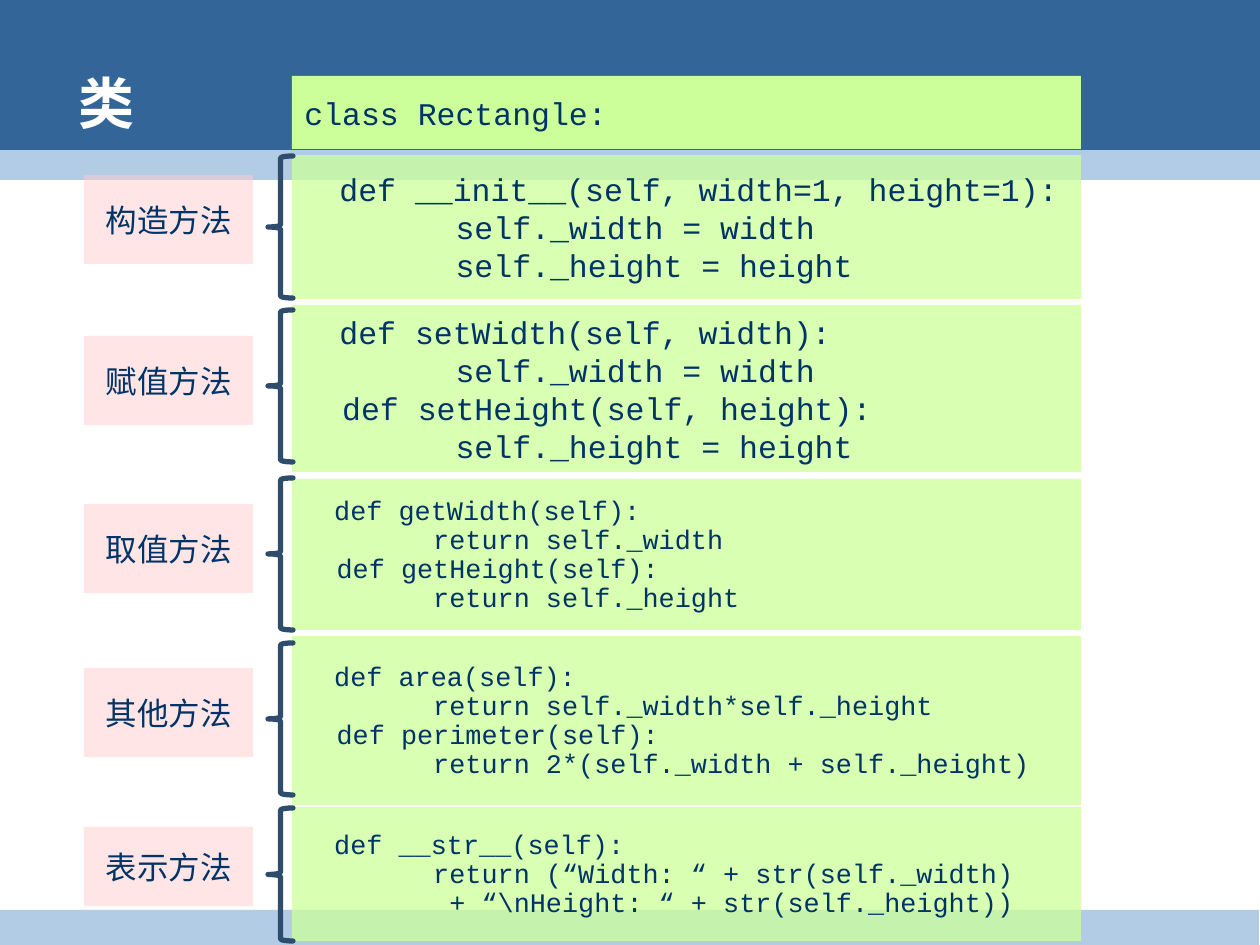
"""Build a slide that explains the methods of a Python class."""
from lxml import etree
from pptx import Presentation, util as u
from pptx.dml.color import RGBColor
from pptx.enum import shapes, text
from pptx.oxml.ns import qn

NAVY = RGBColor(0x33, 0x65, 0x99)
SKY = RGBColor(0xB3, 0xCC, 0xE6)
GREEN = RGBColor(0xCC, 0xFF, 0x99)
PINK = RGBColor(0xFF, 0xCC, 0xCC)
INK = RGBColor(0x00, 0x33, 0x66)
BRACE = RGBColor(0x2E, 0x4C, 0x6B)
WHITE = RGBColor(0xFF, 0xFF, 0xFF)

BANDS = [
    ((0, 0, 1260, 165), NAVY),
    ((0, 150, 1260, 30), SKY),
    ((0, 910, 1259, 38), SKY),
]
TITLE = " 类"
HEADER = "class Rectangle:"
METHODS = [
    dict(label="构造方法", size=18, code_y=(155, 144), brace_y=(156, 142), label_y=(175, 89),
         code=["def __init__(self, width=1, height=1):",
               "        self._width = width",
               "        self._height = height"]),
    dict(label="赋值方法", size=18, code_y=(305, 167), brace_y=(310, 152), label_y=(336, 89),
         code=["def setWidth(self, width):",
               "        self._width = width",
               "  def setHeight(self, height):",
               "        self._height = height"]),
    dict(label="取值方法", size=15.3, code_y=(479, 151), brace_y=(478, 152), label_y=(504, 89),
         code=["def getWidth(self):",
               "        return self._width",
               "  def getHeight(self):",
               "        return self._height"]),
    dict(label="其他方法", size=15.3, code_y=(636, 169), brace_y=(643, 152), label_y=(668, 89),
         code=["def area(self):",
               "        return self._width*self._height",
               "  def perimeter(self):",
               "        return 2*(self._width + self._height)"]),
    dict(label="表示方法", size=15.3, code_y=(807, 134), brace_y=(808, 133), label_y=(827, 79),
         code=["def __str__(self):",
               "        return (“Width: “ + str(self._width)",
               "         + “\\nHeight: “ + str(self._height))"]),
]
CODE_X, BRACE_X, LABEL_X = (292, 789), (268, 25), (84, 169)
LEADING = {18: 21.7, 15.3: 16.6}
SANS, MONO = "Arial", "Courier New"
CENTER = text.PP_ALIGN.CENTER
LEFT = text.PP_ALIGN.LEFT


def px(n):
    return u.Emu(round(n * 914400 / 126))


def add_shape(slide, kind, box):
    s = slide.shapes.add_shape(kind, *map(px, box))
    s.shadow.inherit = False
    return s


def add_box(slide, box, color, alpha=100):
    s = add_shape(slide, shapes.MSO_SHAPE.RECTANGLE, box)
    s.fill.solid()
    s.fill.fore_color.rgb = color
    s.line.fill.background()
    if alpha < 100:
        clr = s._element.spPr.find(qn("a:solidFill"))[0]
        etree.SubElement(clr, qn("a:alpha")).set("val", str(alpha * 1000))
    return s


def write(s, lines, align=LEFT, leading=None, **style):
    tf = s.text_frame
    tf.word_wrap = True
    tf.vertical_anchor = text.MSO_ANCHOR.MIDDLE
    for i, runs in enumerate(lines):
        p = tf.paragraphs[0] if i == 0 else tf.add_paragraph()
        p.alignment = align
        if leading:
            p.line_spacing = u.Pt(leading)
        for words, name in runs:
            r = p.add_run()
            r.text = words
            r.font.color.rgb = style.get("color", INK)
            fmt = dict(name=name, size=u.Pt(style.get("size", 18)), bold=style.get("bold", False))
            for key, value in fmt.items():
                setattr(r.font, key, value)


def add_brace(slide, box):
    s = add_shape(slide, shapes.MSO_SHAPE.LEFT_BRACE, box)
    s.fill.background()
    s.line.color.rgb = BRACE
    s.line.width = u.Pt(3)
    s._element.spPr.find(qn("a:ln")).set("cap", "rnd")


def add_method(slide, m):
    def span(x, y):
        return x[0], y[0], x[1], y[1]

    first, *rest = m["code"]
    lines = [[("    ", SANS), (first, MONO)]] + [[(line, MONO)] for line in rest]
    code = add_box(slide, span(CODE_X, m["code_y"]), GREEN, 75)
    write(code, lines, leading=LEADING[m["size"]], size=m["size"])
    add_brace(slide, span(BRACE_X, m["brace_y"]))
    label = add_box(slide, span(LABEL_X, m["label_y"]), PINK, 50)
    write(label, [[(m["label"], SANS)]], CENTER)


def main():
    prs = Presentation()
    prs.slide_width, prs.slide_height = px(1260), px(945)
    slide = prs.slides.add_slide(prs.slide_layouts[6])
    for box, color in BANDS:
        add_box(slide, box, color)
    title = slide.shapes.add_textbox(*map(px, (53, 66, 1142, 73)))
    write(title, [[(TITLE, SANS)]], size=32, bold=True, color=WHITE)
    write(add_box(slide, (CODE_X[0], 76, CODE_X[1], 73), GREEN), [[(HEADER, MONO)]])
    for m in METHODS:
        add_method(slide, m)
    prs.save("out.pptx")


if __name__ == "__main__":
    main()
